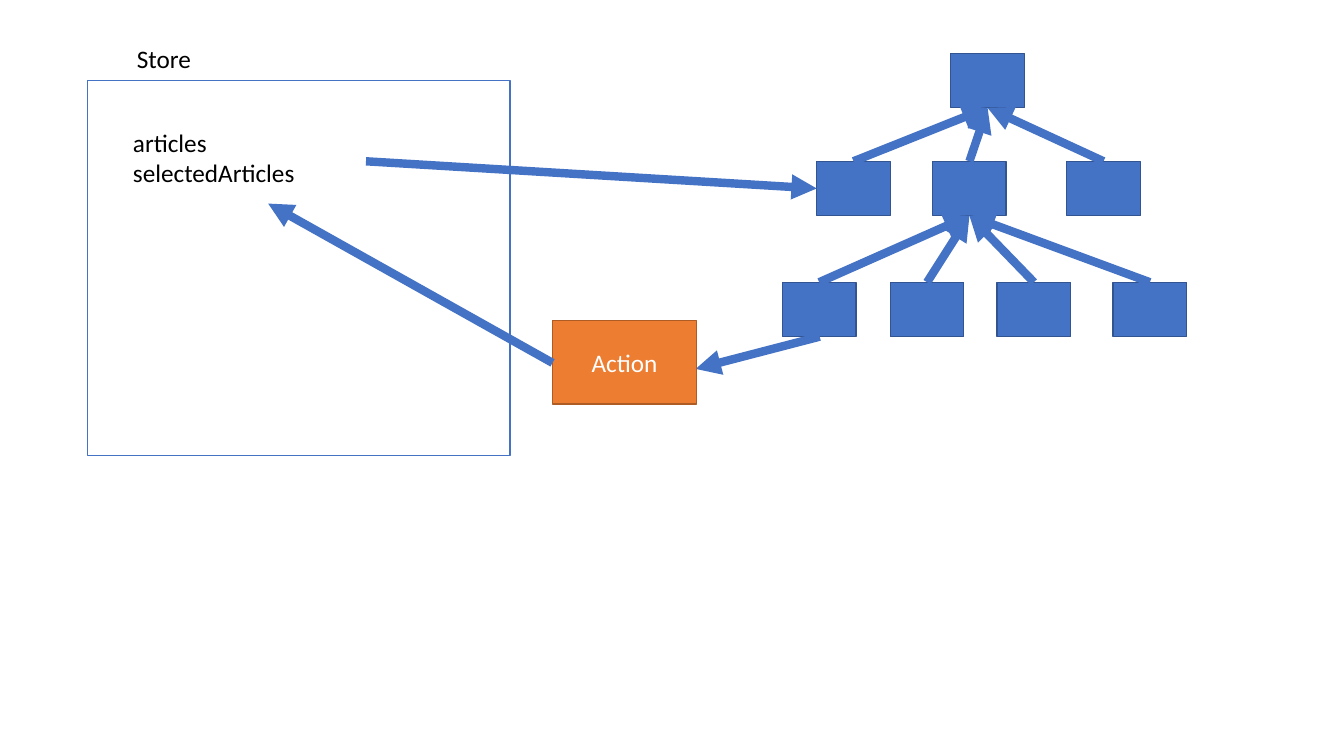
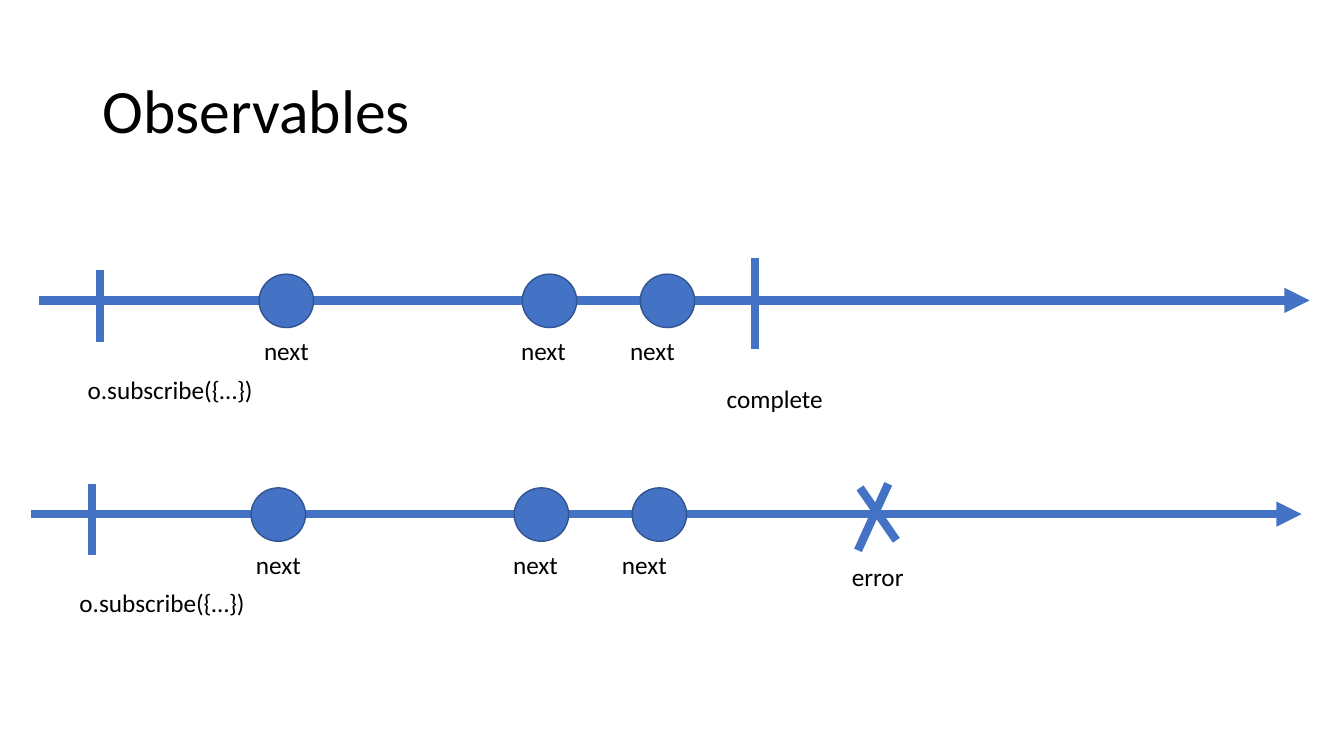
"""Build two slides: a store and component tree, and observable timelines."""
import dataclasses

import lxml.etree
import pptx
import pptx.dml.color
import pptx.enum.shapes
import pptx.enum.text
import pptx.oxml.ns
import pptx.shapes.autoshape
import pptx.shapes.connector
import pptx.slide
import pptx.util

Inches = pptx.util.Inches
Pt = pptx.util.Pt
RGBColor = pptx.dml.color.RGBColor
Shape = pptx.shapes.autoshape.Shape
Line = pptx.shapes.connector.Connector
Slide = pptx.slide.Slide
KIND = pptx.enum.shapes.MSO_SHAPE
ALIGN = pptx.enum.text.PP_ALIGN
MIDDLE = pptx.enum.text.MSO_ANCHOR.MIDDLE

BLUE = RGBColor(0x44, 0x72, 0xC4)
NAVY = RGBColor(0x32, 0x54, 0x91)
ORANGE = RGBColor(0xED, 0x7D, 0x31)
BROWN = RGBColor(0xAF, 0x5C, 0x24)
WHITE = RGBColor(0xFF, 0xFF, 0xFF)
BLACK = RGBColor(0, 0, 0)
FONT = "Calibri"
TOP, BOTTOM = 0, 2


@dataclasses.dataclass(frozen=True)
class Box:
    """A place on the slide, in inches."""
    left: float
    top: float
    width: float
    height: float


@dataclasses.dataclass(frozen=True)
class Look:
    """The fill and outline of a shape."""
    fill: RGBColor
    edge: RGBColor


@dataclasses.dataclass(frozen=True)
class Label:
    """A text and its place relative to a start point."""
    text: str
    left: float
    top: float
    width: float
    height: float = 0.4


@dataclasses.dataclass(frozen=True)
class Stroke:
    """A straight line between two points."""
    x1: float
    y1: float
    x2: float
    y2: float
    arrow: bool = False


@dataclasses.dataclass(frozen=True)
class Track:
    """A timeline with its start point and its closing mark."""
    left: float
    top: float
    marks: tuple[Stroke, ...]
    label: Label


NODE = Look(BLUE, NAVY)
NEXT = ((2.18, 2.13), (4.79, 4.68), (5.96, 5.76))
TRACKS = (
    Track(0.39, 2.98, (Stroke(7.1, -0.42, 7.1, 0.48),),
          Label("complete", 6.72, 0.77, 1.17)),
    Track(0.31, 5.1, (Stroke(8.22, -0.26, 8.58, 0.26),
                      Stroke(8.5, -0.3, 8.2, 0.36)),
          Label("error", 8.04, 0.42, 0.72)),
)


def style(para, size: float, color: RGBColor) -> None:
    """Set the font of a paragraph."""
    para.font.name = FONT
    para.font.size = Pt(size)
    para.font.color.rgb = color


def shape(slide: Slide, kind: KIND, box: Box, look: Look) -> Shape:
    """Draw a filled and outlined shape."""
    item = slide.shapes.add_shape(
        kind, *map(Inches, dataclasses.astuple(box)))
    item.shadow.inherit = False
    item.fill.solid()
    item.fill.fore_color.rgb = look.fill
    item.line.color.rgb = look.edge
    item.line.width = Pt(1)
    return item


def line(slide: Slide, mark: Stroke, dx: float = 0, dy: float = 0) -> Line:
    """Draw a thick line, with an arrowhead if asked for."""
    ends = (mark.x1 + dx, mark.y1 + dy, mark.x2 + dx, mark.y2 + dy)
    item = slide.shapes.add_connector(
        pptx.enum.shapes.MSO_CONNECTOR.STRAIGHT, *map(Inches, ends))
    item.line.color.rgb = BLUE
    item.line.width = Pt(6)
    qn = pptx.oxml.ns.qn
    if mark.arrow:
        lxml.etree.SubElement(item.get_or_add_ln(), qn("a:tailEnd"),
                              type="triangle")
    lxml.etree.SubElement(item._element.spPr, qn("a:effectLst"))
    return item


def write(slide: Slide, label: Label, dx: float = 0, dy: float = 0) -> None:
    """Add a label, one paragraph for each line."""
    item = slide.shapes.add_textbox(
        Inches(label.left + dx), Inches(label.top + dy),
        Inches(label.width), Inches(label.height))
    frame = item.text_frame
    frame.word_wrap = False
    frame.auto_size = pptx.enum.text.MSO_AUTO_SIZE.SHAPE_TO_FIT_TEXT
    frame.text = label.text
    for para in frame.paragraphs:
        style(para, 18, BLACK)


def row(slide: Slide, top: float, lefts: tuple[float, ...]) -> list[Shape]:
    """Draw one level of tree nodes."""
    return [shape(slide, KIND.RECTANGLE, Box(left, top, 0.73, 0.54), NODE)
            for left in lefts]


def link(slide: Slide, kids: list[Shape], root: Shape) -> None:
    """Join each child to its parent."""
    for kid in kids:
        item = line(slide, Stroke(0, 0, 0, 0, True))
        item.begin_connect(kid, TOP)
        item.end_connect(root, BOTTOM)


def store(slide: Slide) -> None:
    """Draw the store, the action and the component tree."""
    root = row(slide, 0.53, (9.43,))[0]
    mids = row(slide, 1.6, (8.1, 9.25, 10.58))
    kids = row(slide, 2.8, (7.76, 8.83, 9.89, 11.04))
    link(slide, mids, root)
    link(slide, kids, mids[1])
    shape(slide, KIND.RECTANGLE, Box(0.87, 0.8, 4.19, 3.72),
          Look(WHITE, BLUE))
    write(slide, Label("Store", 1.26, 0.38, 0.74))
    write(slide, Label("articles\nselectedArticles", 1.22, 1.21, 1.82, 0.71))
    line(slide, Stroke(8.13, 3.34, 6.9, 3.66, True))
    action = shape(slide, KIND.RECTANGLE, Box(5.48, 3.18, 1.43, 0.83),
                   Look(ORANGE, BROWN))
    frame = action.text_frame
    frame.text = "Action"
    frame.vertical_anchor = MIDDLE
    para = frame.paragraphs[0]
    para.alignment = ALIGN.CENTER
    style(para, 18, WHITE)
    line(slide, Stroke(5.48, 3.6, 2.66, 2.02, True))
    line(slide, Stroke(3.63, 1.6, 8.1, 1.87, True))


def title(slide: Slide, text: str) -> None:
    """Fill and place the title."""
    item = slide.shapes.title
    item.left, item.top = Inches(0.92), Inches(0.4)
    item.width, item.height = Inches(11.5), Inches(1.45)
    frame = item.text_frame
    frame.text = text
    frame.vertical_anchor = MIDDLE
    para = frame.paragraphs[0]
    para.alignment = ALIGN.LEFT
    para.line_spacing = 0.9
    style(para, 44, BLACK)


def track(slide: Slide, data: Track) -> None:
    """Draw a timeline with its events."""
    spot = (data.left, data.top)
    line(slide, Stroke(0, 0, 12.6, 0, True), *spot)
    line(slide, Stroke(0.6, -0.3, 0.6, 0.41), *spot)
    write(slide, Label("o.subscribe({…})", 0.38, 0.68, 1.86), *spot)
    for dot, word in NEXT:
        shape(slide, KIND.OVAL,
              Box(data.left + dot, data.top - 0.26, 0.54, 0.53), NODE)
        write(slide, Label("next", word, 0.3, 0.65), *spot)
    for mark in data.marks:
        line(slide, mark, *spot)
    write(slide, data.label, *spot)


def main() -> None:
    """Build and save the deck."""
    deck = pptx.Presentation()
    deck.slide_width, deck.slide_height = Inches(13.33), Inches(7.5)
    store(deck.slides.add_slide(deck.slide_layouts[6]))
    slide = deck.slides.add_slide(deck.slide_layouts[5])
    title(slide, "Observables")
    for data in TRACKS:
        track(slide, data)
    deck.save("out.pptx")


if __name__ == "__main__":
    main()
